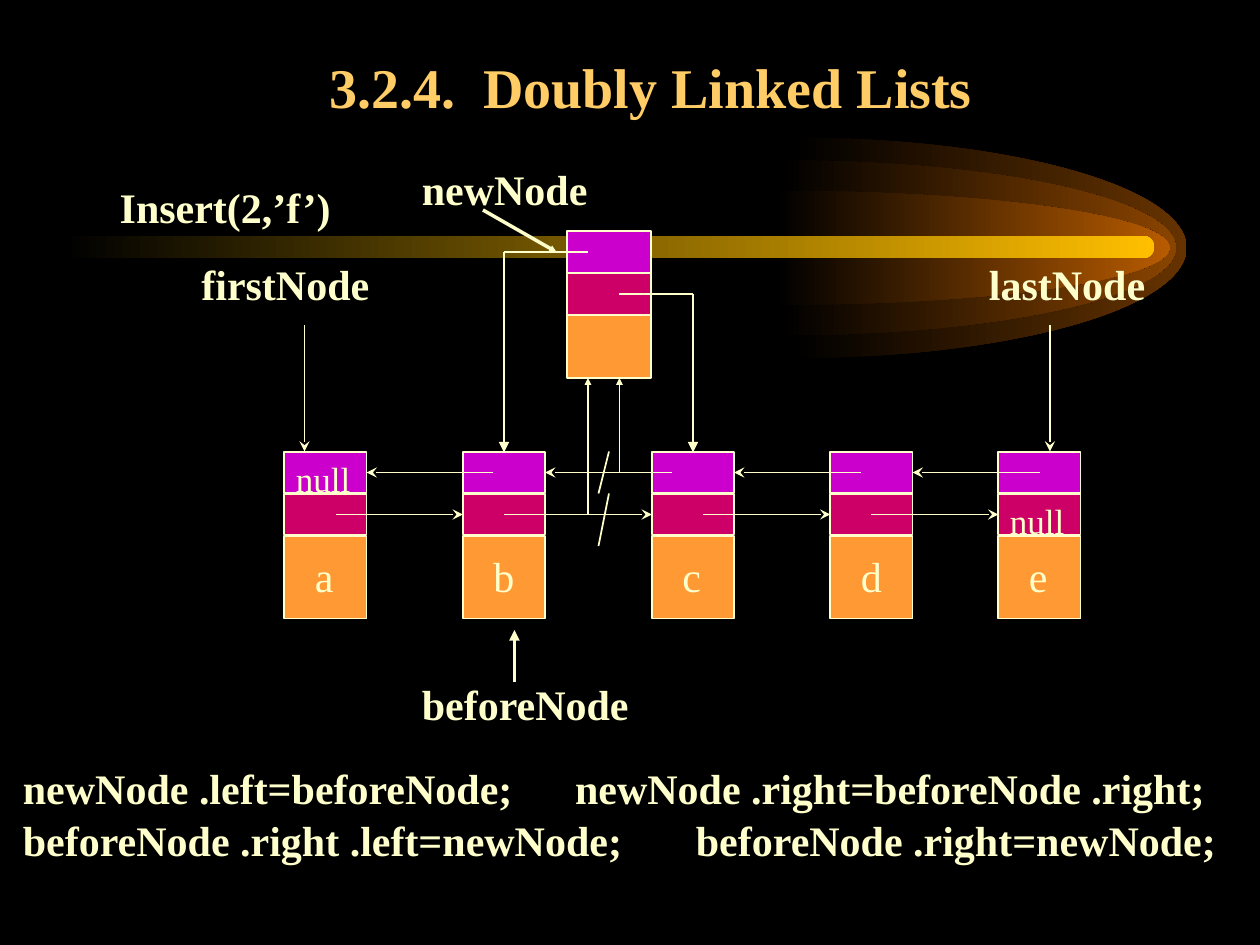
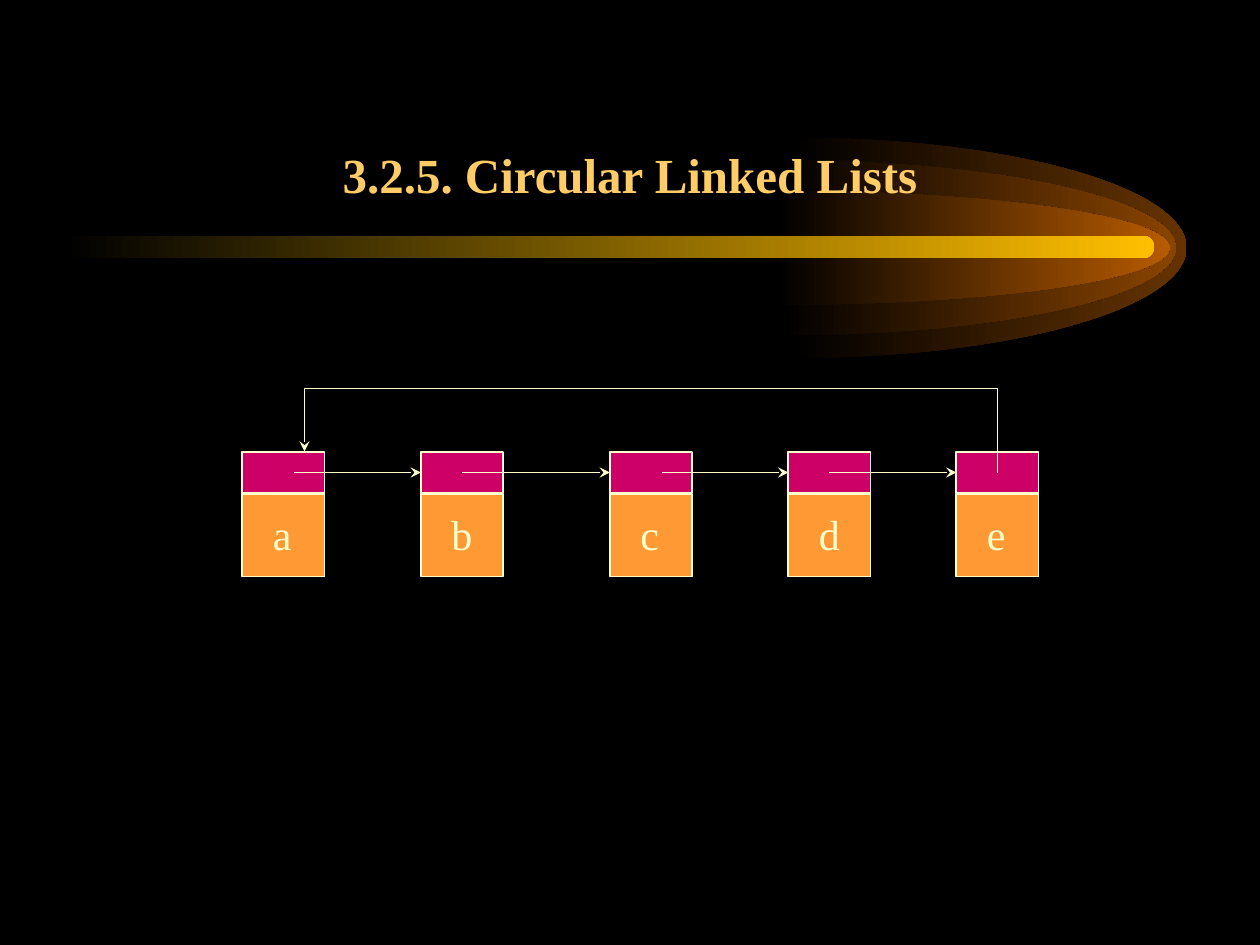
from lxml.etree import SubElement
from pptx import Presentation
from pptx.dml.color import RGBColor
from pptx.enum.shapes import MSO_CONNECTOR, MSO_SHAPE
from pptx.enum.text import MSO_ANCHOR, MSO_AUTO_SIZE, PP_ALIGN
from pptx.oxml.ns import qn
from pptx.util import Inches, Pt

# Palette and grid: the slide is 120 columns by 90 rows
BLACK, GOLD, CREAM = "000000", "FFCC66", "FFFFCC"
PURPLE, CRIMSON, ORANGE = "CC00CC", "CC0066", "FF9933"
FONT = "Times New Roman"
U = Inches(10) / 120
rgb = RGBColor.from_string

prs = Presentation()
prs.slide_width, prs.slide_height = Inches(10), Inches(7.5)


def write(sp, text, box, size=24, bold=False, color=CREAM, align=PP_ALIGN.LEFT,
          anchor=MSO_ANCHOR.TOP):
    """Place a text holder on the grid and fill it."""
    sp.left, sp.top, sp.width, sp.height = [round(v * U) for v in box]
    tf = sp.text_frame
    tf.word_wrap, tf.auto_size, tf.vertical_anchor = True, MSO_AUTO_SIZE.NONE, anchor
    p = tf.paragraphs[0]
    p.alignment, p.space_before = align, Pt(0)
    pPr = p._p.get_or_add_pPr()
    pPr.set("marL", "0")
    pPr.set("indent", "0")
    SubElement(pPr, qn("a:buNone"))
    r = p.add_run()
    r.text = text
    r.font.name, r.font.size, r.font.bold = FONT, Pt(size), bold
    r.font.color.rgb = rgb(color)


def line(s, x1, y1, x2, y2, head=None, width=1, size="med", to=None, side=0):
    """Draw a line on the grid, joined to a side of a cell if one is given."""
    c = s.shapes.add_connector(MSO_CONNECTOR.STRAIGHT, *[round(v * U) for v in (x1, y1, x2, y2)])
    c.line.color.rgb, c.line.width = rgb(CREAM), Pt(width)
    if head:
        SubElement(c.line._get_or_add_ln(), qn("a:tailEnd"), type=head, w=size, len=size)
    SubElement(c._element.spPr, qn("a:effectLst"))
    if to is not None:
        c.end_connect(to, side)


# Slides and titles
doubly = prs.slides.add_slide(prs.slide_layouts[1])
circular = prs.slides.add_slide(prs.slide_layouts[5])
for s, text, box, size in [
    (doubly, "3.2.4.  Doubly Linked Lists", (11, 3, 102, 9), 32),
    (circular, "3.2.5. Circular Linked Lists", (9, 5, 102, 15), 28),
]:
    write(s.shapes.title, text, box, size, True, GOLD, PP_ALIGN.CENTER, MSO_ANCHOR.BOTTOM)

# Master: black background, comet glow and tail
master = prs.slide_master
master.background.fill.solid()
master.background.fill.fore_color.rgb = rgb(BLACK)
comet = []
K = 0.55  # control point share for a quarter of an ellipse
for cx, ry, color in [(75.5, 10.5, "663300"), (74.5, 8.35, "894400"), (73.9, 5.45, "B75B00")]:
    points = [((cx + 37.5 * a) * U, (23.6 + ry * b) * U)
              for a, b in [(0, -1), (K, -1), (1, -K), (1, 0), (1, K), (K, 1), (0, 1)]]
    fb = doubly.shapes.build_freeform(*points[0])
    fb.add_line_segments(points[1:], close=True)
    sp = fb.convert_to_shape()
    # Join each three segments into one curve
    steps = list(sp._element.iter(qn("a:lnTo")))
    for i in (0, 3):
        steps[i].tag = qn("a:cubicBezTo")
        for step in steps[i + 1:i + 3]:
            steps[i].append(step[0])
            step.getparent().remove(step)
    comet.append((sp, color))
sp = doubly.shapes.add_shape(MSO_SHAPE.ROUNDED_RECTANGLE, Inches(0.5), Inches(1.87),
                             Inches(8.66), Inches(0.18))
sp.adjustments[0] = 0.5
comet.append((sp, "FFBF00"))
for i, (sp, color) in enumerate(comet):
    sp.shadow.inherit = False
    sp.line.fill.background()
    sp.fill.gradient()
    sp.fill.gradient_angle = 0
    for stop, position, shade in zip(sp.fill.gradient_stops, (0, 1), (BLACK, color)):
        stop.position, stop.color.rgb = position, rgb(shade)
    sp._element.nvSpPr.cNvPr.set("id", str(100 + i))
    master.shapes._spTree.insert(2 + i, sp._element)

# Cells of all nodes: slide, key, column, row, height, fill, margin, letter
columns = [27, 44, 62, 79, 95]
boxes = []
for i, (x, letter) in enumerate(zip(columns, "abcde")):
    boxes += [
        (doubly, ("data", i), x, 51, 8, ORANGE, 0.08, letter),
        (doubly, ("right", i), x, 47, 4, CRIMSON, 0.08, ""),
        (doubly, ("left", i), x, 43, 4, PURPLE, 0.08, ""),
        (circular, ("item", i), x - 4, 47, 8, ORANGE, 0.08, letter),
        (circular, ("next", i), x - 4, 43, 4, CRIMSON, 0.08, ""),
    ]
for y, h, color in [(22, 4, PURPLE), (26, 4, CRIMSON), (30, 6, ORANGE)]:
    boxes.append((doubly, ("new", y), 54, y, h, color, 0, ""))

cells = {}
for s, key, x, y, h, color, m, letter in boxes:
    sp = s.shapes.add_shape(MSO_SHAPE.RECTANGLE, *[
        round(v * U) for v in (x + m, y + m, 8 - 2 * m, h - 2 * m)])
    sp.shadow.inherit = False
    sp.fill.solid()
    sp.fill.fore_color.rgb = rgb(color)
    sp.line.color.rgb, sp.line.width = rgb(CREAM), Pt(1)
    if letter:
        write(s.shapes.add_textbox(0, 0, 0, 0), letter, (x + 1.8, y + 0.8, 4.5, 6))
    cells[key] = sp

# Links between neighbouring nodes
for i, (out, back) in enumerate(zip([5, 4, 5, 4], [3, 2, 3, 4])):
    x, x_next = columns[i], columns[i + 1]
    line(doubly, x + out, 49, x_next, 49, "stealth", to=cells["right", i + 1], side=1)
    line(doubly, x_next + back, 45, x + 8, 45, "stealth", to=cells["left", i], side=3)
    line(circular, x - 4 + out, 45, x_next - 4, 45, "stealth", to=cells["next", i + 1], side=1)

# Circular list: link from the last node back to the first
line(circular, 95, 45, 95, 37)
line(circular, 95, 37, 29, 37)
line(circular, 29, 37, 29, 43, "stealth")

# Doubly linked list: call, labels, null marks and statements
write(doubly.placeholders[1], "Insert(2,’f’)", (10.2, 16.7, 101, 52), bold=True)
for text, box, size, bold in [
    ("newNode", (39, 15, 19, 6), 24, True),
    ("firstNode", (18, 24, 22, 6), 24, True),
    ("lastNode", (93, 24, 22, 6), 24, True),
    ("beforeNode", (39, 64, 23, 6), 24, True),
    ("null", (27, 43, 8, 5), 20, False),
    ("null", (95, 47, 8, 5), 20, False),
    ("newNode .left=beforeNode;", (1, 72, 52, 6), 24, True),
    ("newNode .right=beforeNode .right;", (53.6, 72, 66, 6), 24, True),
    ("beforeNode .right .left=newNode;", (1, 77, 63, 6), 24, True),
    ("beforeNode .right=newNode;", (65.1, 77, 54, 6), 24, True),
]:
    write(doubly.shapes.add_textbox(0, 0, 0, 0), text, box, size, bold)

# Label pointers
line(doubly, 29, 31, 29, 43, "stealth")
line(doubly, 100, 31, 100, 43, "stealth")
line(doubly, 49, 65, 49, 60, "triangle", 2)
line(doubly, 46, 20, 53, 24, "triangle", 2, "sm")

# Links of the new node, and strokes through the links they replace
line(doubly, 56, 24, 48, 24)
line(doubly, 48, 24, 48, 43, "triangle", to=cells["left", 1])
line(doubly, 59, 28, 66, 28)
line(doubly, 66, 28, 66, 43, "triangle", to=cells["left", 2])
line(doubly, 59, 45, 59, 36, "triangle", size="sm")
line(doubly, 56, 49, 56, 36, "triangle", size="sm")
line(doubly, 58, 47, 57, 52)
line(doubly, 58, 43, 57, 47)

prs.save("out.pptx")
